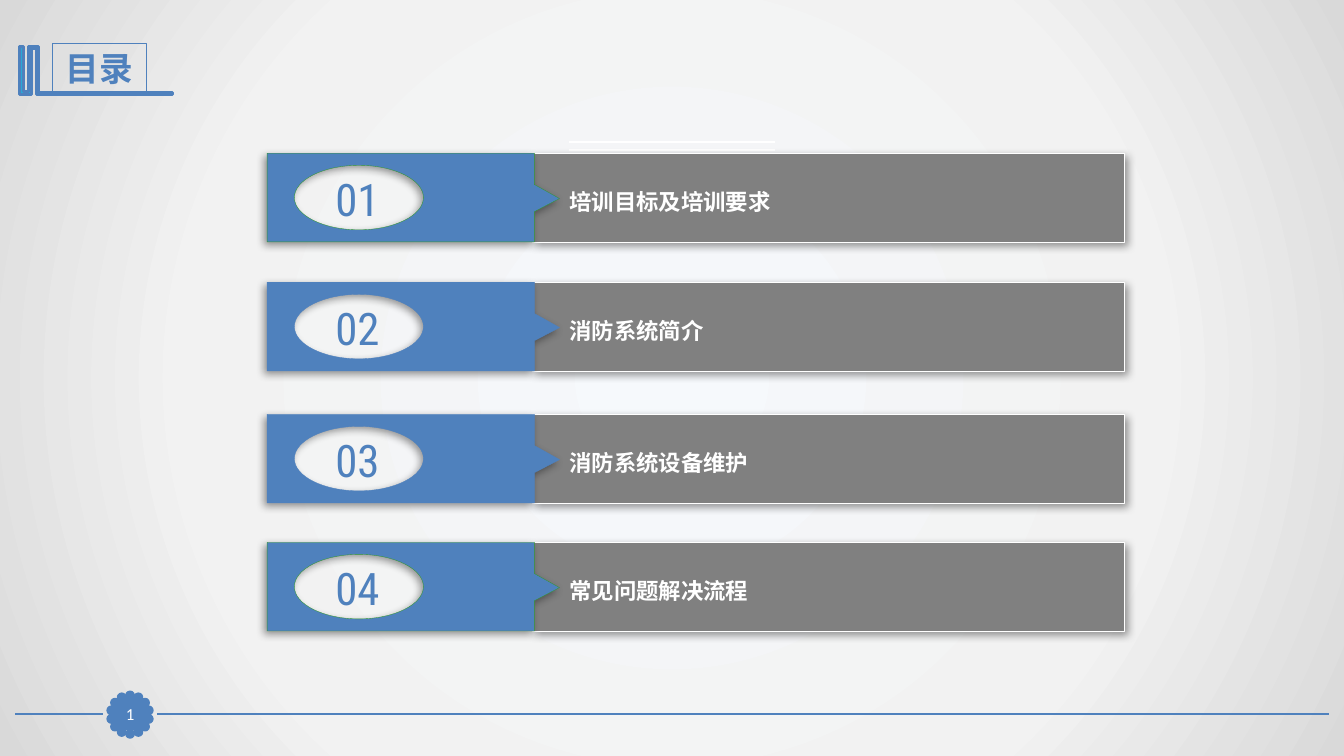
from math import cos, pi, sin

from pptx import Presentation
from pptx.dml.color import RGBColor
from pptx.enum.shapes import MSO_CONNECTOR as Connector, MSO_SHAPE as Preset
from pptx.enum.text import MSO_ANCHOR as Anchor, MSO_AUTO_SIZE as AutoSize, PP_ALIGN as Align
from pptx.oxml import parse_xml
from pptx.oxml.ns import nsdecls, qn
from pptx.util import Inches, Pt

BLUE, GREEN, GRAY, WHITE = "4F81BD", "339933", "808080", "FFFFFF"
HEADING_FONT, BODY_FONT = "Roboto Condensed", "Calibri"
BACKGROUND_STOPS = [(0, "F6F9FC"), (63, "F2F2F2"), (100, "D9D9D9")]
AGENDA = [
    (1.52, "培训目标及培训要求", GREEN),
    (2.80, "消防系统简介", BLUE),
    (4.11, "消防系统设备维护", BLUE),
    (5.38, "常见问题解决流程", GREEN),
]
BOOKMARK = [
    (0.37, 0.46), (0.38, 0.46), (0.38, 0.92), (1.71, 0.92), (1.71, 0.94), (0.37, 0.94),
    (0.36, 0.94), (0.36, 0.48), (0.31, 0.48), (0.31, 0.94), (0.19, 0.94), (0.19, 0.46),
    (0.23, 0.46), (0.23, 0.91), (0.28, 0.91), (0.28, 0.46),
]


def color(hex_string):
    return RGBColor.from_string(hex_string)


def set_background(slide):
    slide.background.fill.solid()
    properties = slide.element.find(".//" + qn("p:bgPr"))
    stops = "".join(
        f'<a:gs pos="{position * 1000}"><a:srgbClr val="{value}"/></a:gs>'
        for position, value in BACKGROUND_STOPS
    )
    gradient = parse_xml(
        f'<a:gradFill {nsdecls("a")} rotWithShape="1"><a:gsLst>{stops}</a:gsLst>'
        '<a:path path="circle"><a:fillToRect l="50000" t="50000" r="50000" b="50000"/>'
        "</a:path></a:gradFill>"
    )
    properties.replace(properties[0], gradient)


def style(shape, fill, line, width):
    shape.shadow.inherit = False
    shape.fill.solid()
    shape.fill.fore_color.rgb = color(fill)
    shape.line.color.rgb = color(line)
    shape.line.width = Pt(width)
    return shape


def cast_shadow(shape, angle):
    effects = shape._element.spPr.find(qn("a:effectLst"))
    effects.append(parse_xml(
        f'<a:outerShdw {nsdecls("a")} blurRad="{Pt(6)}" dist="{Pt(3)}" dir="{angle * 60000}" '
        'algn="ctr" rotWithShape="0"><a:srgbClr val="000000"><a:alpha val="40000"/>'
        "</a:srgbClr></a:outerShdw>"
    ))


def add_preset(slide, preset, left, top, width, height, fill, line, line_width):
    shape = slide.shapes.add_shape(
        preset, Inches(left), Inches(top), Inches(width), Inches(height))
    return style(shape, fill, line, line_width)


def add_outline(slide, contours, fill, line, line_width):
    """Draw closed contours as one shape; an inner contour becomes a hole."""
    contours = [[(Inches(x), Inches(y)) for x, y in points] for points in contours]
    builder = slide.shapes.build_freeform(*contours[0][0])
    for index, points in enumerate(contours):
        if index:
            builder.move_to(*points[0])
        builder.add_line_segments(points[1:], close=True)
    return style(builder.convert_to_shape(), fill, line, line_width)


def ellipse_points(center_x, center_y, radius_x, radius_y):
    """Start point and four Bezier quarters, each of two handles and an end."""
    handle = 0.55
    points = [(center_x, center_y - radius_y)]
    for from_x, from_y, to_x, to_y in [(0, -1, -1, 0), (-1, 0, 0, 1), (0, 1, 1, 0), (1, 0, 0, -1)]:
        units = [(from_x + handle * to_x, from_y + handle * to_y),
                 (to_x + handle * from_x, to_y + handle * from_y), (to_x, to_y)]
        points += [(center_x + radius_x * x, center_y + radius_y * y) for x, y in units]
    return points


def curve_first_contour(shape, segment_count):
    """Turn every three leading line segments into one Bezier curve."""
    lines = list(shape._element.iter(qn("a:lnTo")))[:segment_count]
    for start in range(0, segment_count, 3):
        curve = parse_xml(f'<a:cubicBezTo {nsdecls("a")}/>')
        lines[start].addprevious(curve)
        for line in lines[start:start + 3]:
            curve.append(line[0])
            line.getparent().remove(line)


def add_line(slide, left, right, y, line, width):
    connector = slide.shapes.add_connector(
        Connector.STRAIGHT, Inches(left), Inches(y), Inches(right), Inches(y))
    connector.line.color.rgb = color(line)
    connector.line.width = Pt(width)
    connector._element.spPr.append(parse_xml(f'<a:effectLst {nsdecls("a")}/>'))


def write(shape, text, size, font, fill, bold=False, align=Align.CENTER,
          anchor=Anchor.MIDDLE, margin=None):
    frame = shape.text_frame
    frame.word_wrap = True
    frame.auto_size = AutoSize.NONE
    frame.vertical_anchor = anchor
    if margin is not None:
        frame.margin_left = frame.margin_right = Inches(margin)
        frame.margin_top = frame.margin_bottom = Inches(margin)
    paragraph = frame.paragraphs[0]
    paragraph.alignment = align
    run = paragraph.add_run()
    run.text = text
    run.font.size = Pt(size)
    run.font.name = font
    run.font.bold = bold
    run.font.color.rgb = color(fill)


def add_text(slide, left, top, width, height, text, **text_format):
    box = slide.shapes.add_textbox(Inches(left), Inches(top), Inches(width), Inches(height))
    write(box, text, **text_format)


def add_title(slide, text):
    add_outline(slide, [BOOKMARK], "28A9D6", BLUE, 2)
    title = slide.shapes.title
    title.left, title.top = Inches(0.52), Inches(0.43)
    title.width, title.height = Inches(0.93), Inches(0.5)
    title.line.color.rgb = color(BLUE)
    title.line.width = Pt(0.75)
    write(title, text, size=24, font=HEADING_FONT, fill=BLUE, bold=True)


def add_page_badge(slide, number):
    center_x, center_y, radius, dot, dots = 1.29, 7.09, 0.19, 0.07, 14
    add_line(slide, 1.56, 13.18, 7.08, BLUE, 1.25)
    add_line(slide, 0.15, 1.02, 7.08, BLUE, 1.25)
    for index in range(dots):
        angle = 2 * pi * index / dots
        add_preset(slide, Preset.OVAL,
                   center_x + radius * sin(angle) - dot / 2,
                   center_y - radius * cos(angle) - dot / 2,
                   dot, dot, BLUE, BLUE, 2)
    badge = add_preset(slide, Preset.RECTANGLE, 1.13, 6.93, 0.32, 0.31, BLUE, BLUE, 0.75)
    write(badge, number, size=12, font=BODY_FONT, fill=WHITE, margin=0)


def add_agenda_row(slide, number, top, label, tag_line):
    bar = add_preset(slide, Preset.RECTANGLE, 5.28, top, 5.87, 0.88, GRAY, WHITE, 0.25)
    cast_shadow(bar, 45)
    window = ellipse_points(3.56, top + 0.44, 0.64, 0.32)
    tag = [(2.65, top), (5.3, top), (5.3, top + 0.31), (5.55, top + 0.45),
           (5.3, top + 0.58), (5.3, top + 0.88), (2.65, top + 0.88)]
    holder = add_outline(slide, [window, tag], BLUE, tag_line, 0.25)
    curve_first_contour(holder, len(window) - 1)
    cast_shadow(holder, 135)
    add_text(slide, 3.04, top + 0.13, 1.01, 0.64, f"{number:02}",
             size=32, font=HEADING_FONT, fill=BLUE)
    add_text(slide, 5.55, top + 0.3, 5.61, 0.37, label, size=16, font=BODY_FONT,
             fill=WHITE, bold=True, align=Align.LEFT, anchor=Anchor.TOP)


def main():
    presentation = Presentation()
    presentation.slide_width, presentation.slide_height = Inches(13.33), Inches(7.5)
    slide = presentation.slides.add_slide(presentation.slide_layouts[5])
    set_background(slide)
    add_title(slide, "目录")
    add_page_badge(slide, "1")
    for y in (1.41, 1.49):
        add_line(slide, 5.64, 7.69, y, WHITE, 1.5)
    for number, (top, label, tag_line) in enumerate(AGENDA, start=1):
        add_agenda_row(slide, number, top, label, tag_line)
    presentation.save("out.pptx")


if __name__ == "__main__":
    main()
